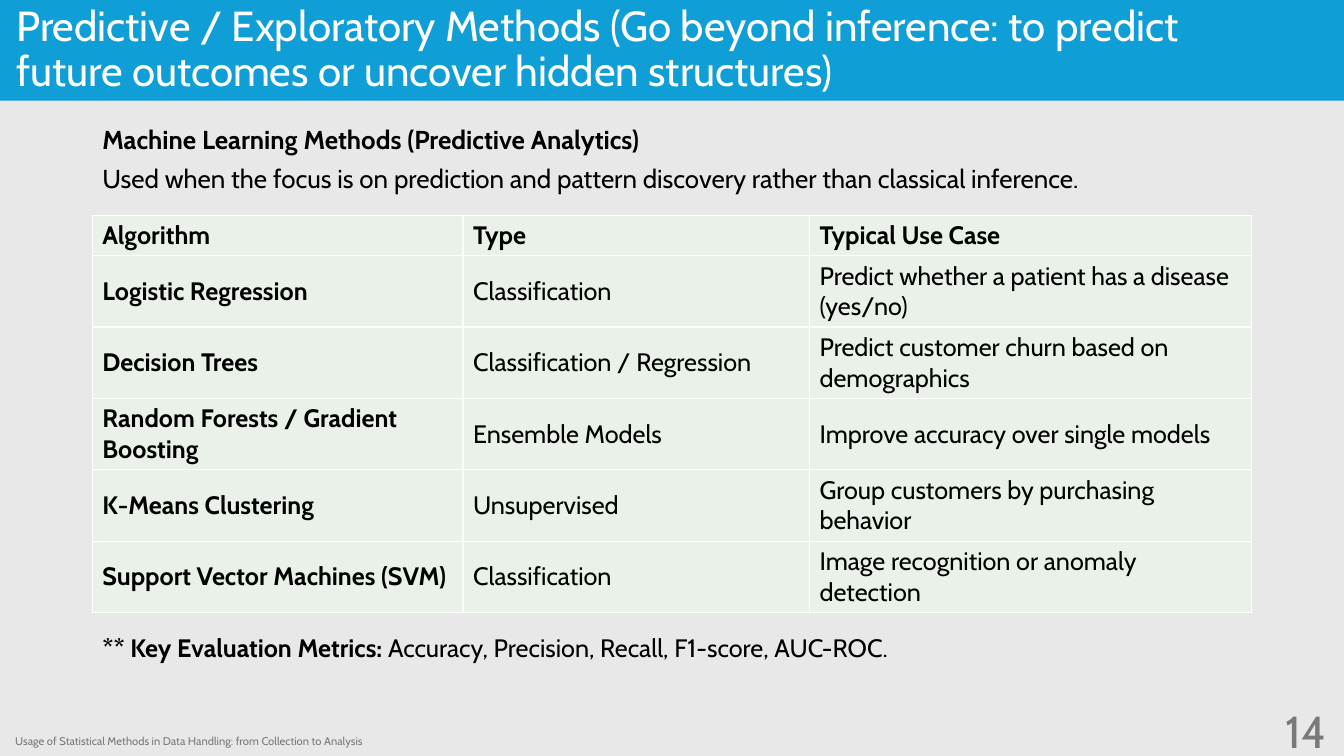
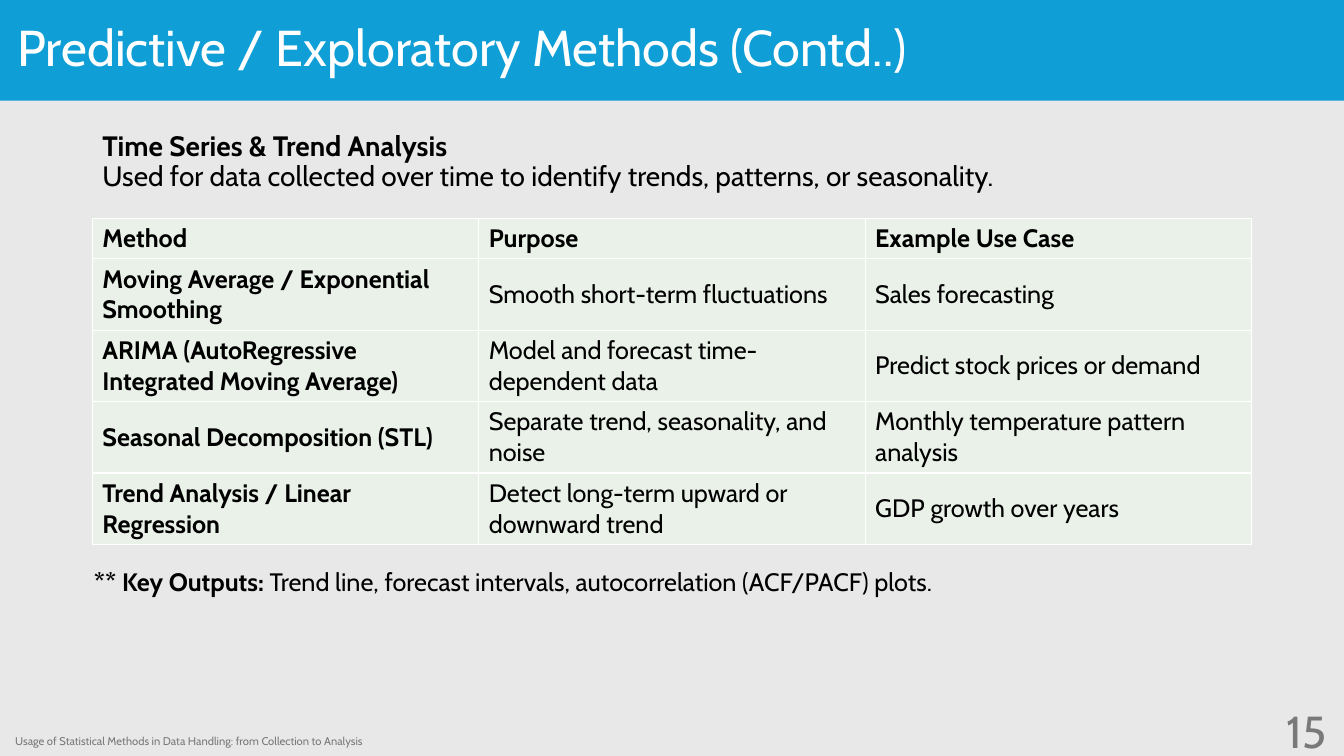
from dataclasses import dataclass

from lxml.etree import SubElement
from pptx import Presentation
from pptx.dml.color import RGBColor
from pptx.enum.shapes import MSO_SHAPE
from pptx.enum.text import MSO_ANCHOR, MSO_AUTO_SIZE, PP_ALIGN
from pptx.oxml.ns import qn
from pptx.util import Emu, Pt

PX = 9525  # EMU in one px (96 px to the inch)
WIDTH, HEIGHT = 1280, 720
LEFT = 88
FOOTER = "Usage of Statistical Methods in Data Handling: from Collection to Analysis"


@dataclass(frozen=True)
class Theme:
    font: str = "Cabin"
    page: str = "E8E8E8"
    band: str = "0F9ED5"
    title: str = "FFFFFF"
    ink: str = "000000"
    muted: str = "797979"
    cell: str = "E9F1E8"
    border: str = "FFFFFF"
    text_size: float = 18
    footer_size: float = 8
    number_size: float = 32
    border_pt: float = 1


THEME = Theme()


@dataclass(frozen=True)
class Box:
    x: int
    y: int
    w: int
    h: int

    def emu(self) -> tuple:
        return tuple(Emu(v * PX) for v in (self.x, self.y, self.w, self.h))


@dataclass(frozen=True)
class Intro:
    box: Box
    heading: str
    text: str
    size: float
    line: float
    before: float


@dataclass(frozen=True)
class Grid:
    y: int
    cols: tuple
    rows: tuple


@dataclass(frozen=True)
class Page:
    number: int
    title: str
    title_box: Box
    title_size: float
    intro: Intro
    grid: Grid
    note_box: Box
    note_label: str
    note: str


PAGES = (
    Page(
        14,
        "Predictive / Exploratory Methods (Go beyond inference: to predict "
        "future outcomes or uncover hidden structures)",
        Box(6, 0, 1145, 96), 30,
        Intro(
            Box(LEFT, 119, 1104, 75),
            "Machine Learning Methods (Predictive Analytics)",
            "Used when the focus is on prediction and pattern discovery "
            "rather than classical inference.",
            18.5, 0.8, 10,
        ),
        Grid(205, (353, 330, 421), (
            ("Algorithm", "Type", "Typical Use Case"),
            ("Logistic Regression", "Classification",
             "Predict whether a patient has a disease (yes/no)"),
            ("Decision Trees", "Classification / Regression",
             "Predict customer churn based on demographics"),
            ("Random Forests / Gradient Boosting", "Ensemble Models",
             "Improve accuracy over single models"),
            ("K-Means Clustering", "Unsupervised",
             "Group customers by purchasing behavior"),
            ("Support Vector Machines (SVM)", "Classification",
             "Image recognition or anomaly detection"),
        )),
        Box(LEFT, 597, 960, 38),
        "** Key Evaluation Metrics:",
        " Accuracy, Precision, Recall, F1-score, AUC-ROC.",
    ),
    Page(
        15,
        "Predictive / Exploratory Methods (Contd..)",
        Box(7, 9, 1056, 78), 36,
        Intro(
            Box(LEFT, 121, 1104, 87),
            "Time Series & Trend Analysis",
            "Used for data collected over time to identify trends, patterns, "
            "or seasonality.",
            20, 0.9, 0,
        ),
        Grid(208, (368, 368, 368), (
            ("Method", "Purpose", "Example Use Case"),
            ("Moving Average / Exponential Smoothing",
             "Smooth short-term fluctuations", "Sales forecasting"),
            ("ARIMA (AutoRegressive Integrated Moving Average)",
             "Model and forecast time-dependent data",
             "Predict stock prices or demand"),
            ("Seasonal Decomposition (STL)",
             "Separate trend, seasonality, and noise",
             "Monthly temperature pattern analysis"),
            ("Trend Analysis / Linear Regression",
             "Detect long-term upward or downward trend",
             "GDP growth over years"),
        )),
        Box(80, 535, 926, 38),
        "** Key Outputs:",
        " Trend line, forecast intervals, autocorrelation (ACF/PACF) plots.",
    ),
)


def rgb(color: str) -> RGBColor:
    return RGBColor.from_string(color)


def add_run(p, text: str, *, size: float = THEME.text_size,
            color: str = THEME.ink, bold: bool = False) -> None:
    r = p.add_run()
    r.text = text
    r.font.name = THEME.font
    r.font.size = Pt(size)
    r.font.bold = bold
    r.font.color.rgb = rgb(color)


def add_text_box(s, box: Box, anchor=MSO_ANCHOR.TOP):
    tf = s.shapes.add_textbox(*box.emu()).text_frame
    tf.word_wrap = True
    tf.vertical_anchor = anchor
    return tf


def add_title(s, page: Page) -> None:
    title = s.shapes.title
    # Band behind the title
    band = s.shapes.add_shape(MSO_SHAPE.RECTANGLE, *Box(0, 0, WIDTH, 96).emu())
    band.shadow.inherit = False
    band.fill.solid()
    band.fill.fore_color.rgb = rgb(THEME.band)
    band.line.fill.background()
    title.element.addprevious(band.element)
    # Title text
    title.left, title.top, title.width, title.height = page.title_box.emu()
    tf = title.text_frame
    tf.word_wrap = True
    tf.auto_size = MSO_AUTO_SIZE.NONE
    tf.vertical_anchor = MSO_ANCHOR.MIDDLE
    p = tf.paragraphs[0]
    p.alignment = PP_ALIGN.LEFT
    p.line_spacing = 0.9
    add_run(p, page.title, size=page.title_size, color=THEME.title)


def add_intro(s, intro: Intro) -> None:
    tf = add_text_box(s, intro.box)
    for p, text, bold in (
        (tf.paragraphs[0], intro.heading, True),
        (tf.add_paragraph(), intro.text, False),
    ):
        p.line_spacing = intro.line
        p.space_before = Pt(intro.before)
        add_run(p, text, size=intro.size, bold=bold)


def add_borders(cell) -> None:
    tc_pr = cell._tc.get_or_add_tcPr()
    for side in ("lnL", "lnR", "lnT", "lnB"):
        ln = SubElement(tc_pr, qn(f"a:{side}"), w=str(Pt(THEME.border_pt)))
        fill = SubElement(ln, qn("a:solidFill"))
        SubElement(fill, qn("a:srgbClr"), val=THEME.border)


def add_grid(s, grid: Grid) -> None:
    heights = [38] + [68] * (len(grid.rows) - 1)
    box = Box(LEFT, grid.y, sum(grid.cols), sum(heights))
    table = s.shapes.add_table(len(heights), len(grid.cols), *box.emu()).table
    table.first_row = table.horz_banding = False
    for col, width in zip(table.columns, grid.cols):
        col.width = Emu(width * PX)
    for i, (row, height) in enumerate(zip(table.rows, heights)):
        row.height = Emu(height * PX)
        for j, text in enumerate(grid.rows[i]):
            cell = table.cell(i, j)
            add_borders(cell)
            cell.fill.solid()
            cell.fill.fore_color.rgb = rgb(THEME.cell)
            cell.vertical_anchor = MSO_ANCHOR.MIDDLE
            add_run(cell.text_frame.paragraphs[0], text, bold=i == 0 or j == 0)


def add_note(s, page: Page) -> None:
    p = add_text_box(s, page.note_box).paragraphs[0]
    add_run(p, page.note_label, bold=True)
    add_run(p, page.note)


def add_footer(s, number: int) -> None:
    tf = add_text_box(s, Box(5, 694, 768, 24), MSO_ANCHOR.MIDDLE)
    add_run(tf.paragraphs[0], FOOTER, size=THEME.footer_size, color=THEME.muted)
    tf = add_text_box(s, Box(985, 677, 288, 38), MSO_ANCHOR.MIDDLE)
    p = tf.paragraphs[0]
    p.alignment = PP_ALIGN.RIGHT
    add_run(p, str(number), size=THEME.number_size, color=THEME.muted)


def main() -> None:
    prs = Presentation()
    prs.slide_width, prs.slide_height = Emu(WIDTH * PX), Emu(HEIGHT * PX)
    background = prs.slide_master.background.fill
    background.solid()
    background.fore_color.rgb = rgb(THEME.page)
    for page in PAGES:
        s = prs.slides.add_slide(prs.slide_layouts[5])  # title only
        add_title(s, page)
        add_intro(s, page.intro)
        add_grid(s, page.grid)
        add_note(s, page)
        add_footer(s, page.number)
    prs.save("out.pptx")


if __name__ == "__main__":
    main()
